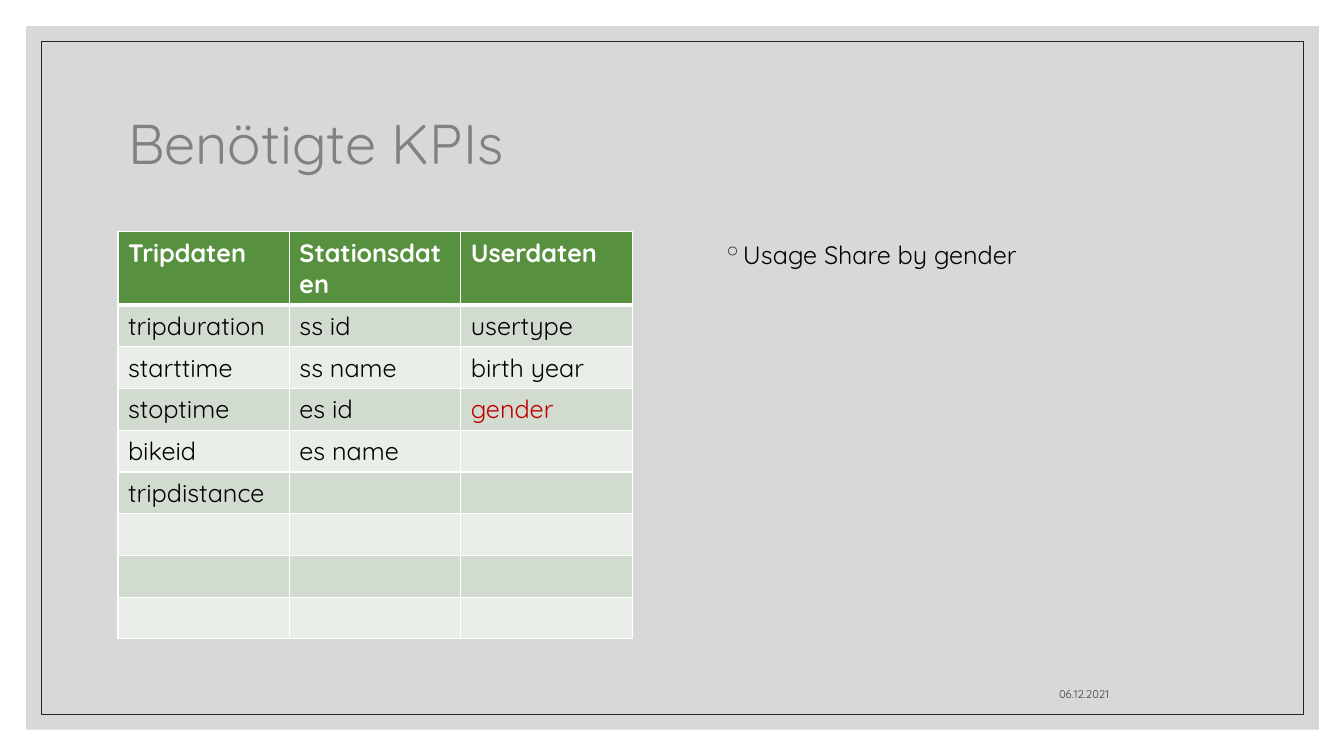
from lxml.etree import SubElement
from pptx import Presentation
from pptx.dml.color import RGBColor
from pptx.enum.shapes import MSO_SHAPE
from pptx.enum.text import MSO_ANCHOR, MSO_AUTO_SIZE, PP_ALIGN
from pptx.oxml.ns import qn
from pptx.util import Inches, Pt

FONT = "Quicksand"
WHITE = RGBColor(0xFF, 0xFF, 0xFF)
BLACK = RGBColor(0, 0, 0)
GREY = RGBColor(0xBF, 0xBF, 0xBF)
DARK = RGBColor(0x26, 0x26, 0x26)
DATE_GREY = RGBColor(0x40, 0x40, 0x40)
GREEN = RGBColor(0x57, 0x90, 0x3F)
BAND_DARK = RGBColor(0xD1, 0xDB, 0xCF)
BAND_LIGHT = RGBColor(0xEA, 0xEE, 0xE8)
RED = RGBColor(0xC0, 0, 0)

DATA_FIELDS = [
    ("Tripdaten", "Stationsdaten", "Userdaten"),
    ("tripduration", "ss id", "usertype"),
    ("starttime", "ss name", "birth year"),
    ("stoptime", "es id", "gender"),
    ("bikeid", "es name", ""),
    ("tripdistance", "", ""),
    ("", "", ""),
    ("", "", ""),
    ("", "", ""),
]
HIGHLIGHTED = "gender"


def style(paragraph, size, color, bold=False):
    """Set the font of a paragraph."""
    font = paragraph.font
    font.name, font.size, font.bold = FONT, Pt(size), bold
    font.color.rgb = color


def add_backdrop(slide, left, top, width, height):
    """Draw the translucent grey panel and the thin frame inside it."""
    inset = 0.15
    panel = slide.shapes.add_shape(
        MSO_SHAPE.RECTANGLE, Inches(left), Inches(top), Inches(width), Inches(height))
    panel.shadow.inherit = False
    panel.fill.solid()
    panel.fill.fore_color.rgb = GREY
    color = panel.fill._xPr.find(qn("a:solidFill"))[0]
    SubElement(color, qn("a:alpha"), val="60000")
    panel.line.fill.background()

    frame = slide.shapes.add_shape(
        MSO_SHAPE.RECTANGLE, Inches(left + inset), Inches(top + inset),
        Inches(width - 2 * inset), Inches(height - 2 * inset))
    frame.shadow.inherit = False
    frame.fill.background()
    frame.line.color.rgb = DARK
    frame.line.width = Pt(0.5)


def add_title(slide, text, left, top, width, height):
    """Place and format the title placeholder."""
    title = slide.shapes.title
    title.left, title.top = Inches(left), Inches(top)
    title.width, title.height = Inches(width), Inches(height)
    title.text_frame.text = text
    title.text_frame.word_wrap = True
    title.text_frame.auto_size = MSO_AUTO_SIZE.NONE
    title.text_frame.vertical_anchor = MSO_ANCHOR.MIDDLE
    heading = title.text_frame.paragraphs[0]
    heading.alignment = PP_ALIGN.LEFT
    heading.line_spacing = 0.9
    style(heading, 40, DARK)


def add_cell_borders(cell, bottom_width):
    """Give a cell white borders, with its own width at the bottom."""
    properties = cell._tc.get_or_add_tcPr()
    for side, width in (("L", 1), ("R", 1), ("T", 1), ("B", bottom_width)):
        line = SubElement(properties, qn(f"a:ln{side}"), w=str(Pt(width)))
        fill = SubElement(line, qn("a:solidFill"))
        SubElement(fill, qn("a:srgbClr"), val=str(WHITE))


def add_data_table(slide, left, top, width, header_height, row_height):
    """Add the banded table of available data fields."""
    row_count, column_count = len(DATA_FIELDS), len(DATA_FIELDS[0])
    height = header_height + row_height * (row_count - 1)
    table = slide.shapes.add_table(
        row_count, column_count, Inches(left), Inches(top),
        Inches(width), Inches(height)).table
    for row_index, fields in enumerate(DATA_FIELDS):
        is_header = row_index == 0
        band = BAND_DARK if row_index % 2 else BAND_LIGHT
        table.rows[row_index].height = Inches(header_height if is_header else row_height)
        for column_index, field in enumerate(fields):
            cell = table.cell(row_index, column_index)
            add_cell_borders(cell, 3 if is_header else 1)
            cell.fill.solid()
            cell.fill.fore_color.rgb = GREEN if is_header else band
            cell.text = field
            body_color = RED if field == HIGHLIGHTED else BLACK
            style(cell.text_frame.paragraphs[0], 18,
                  WHITE if is_header else body_color, is_header)


def add_text(slide, text, size, color, left, top, width, height):
    """Add a wrapping text box and return its text frame."""
    frame = slide.shapes.add_textbox(
        Inches(left), Inches(top), Inches(width), Inches(height)).text_frame
    frame.word_wrap = True
    frame.text = text
    style(frame.paragraphs[0], size, color)
    return frame


def add_kpi_list(slide, left, top, width, height):
    """Add the bulleted KPI."""
    frame = add_text(slide, "Usage Share by gender", 18, BLACK, left, top, width, height)
    kpi = frame.paragraphs[0]
    kpi.line_spacing = 1.1
    kpi.space_before = Pt(9)
    properties = kpi._p.get_or_add_pPr()
    properties.set("marL", str(Inches(0.2)))
    properties.set("indent", str(-Inches(0.2)))
    bullet_color = properties.makeelement(qn("a:buClr"))
    SubElement(bullet_color, qn("a:srgbClr"), val=str(DARK))
    bullet = properties.makeelement(qn("a:buChar"), char="◦")
    default_font = properties.find(qn("a:defRPr"))
    default_font.addprevious(bullet_color)
    default_font.addprevious(bullet)


def add_date(slide, left, top, width, height):
    """Add the right-aligned date at the foot."""
    frame = add_text(slide, "06.12.2021", 8, DATE_GREY, left, top, width, height)
    frame.vertical_anchor = MSO_ANCHOR.BOTTOM
    frame.paragraphs[0].alignment = PP_ALIGN.RIGHT


def main():
    """Build the KPI slide and save it."""
    presentation = Presentation()
    presentation.slide_width = Inches(13.33)
    presentation.slide_height = Inches(7.5)
    slide = presentation.slides.add_slide(presentation.slide_layouts[5])
    add_backdrop(slide, 0.26, 0.26, 12.82, 6.98)
    add_title(slide, "Benötigte KPIs", 1.17, 0.7, 11, 1.5)
    add_data_table(slide, 1.17, 2.3, 5.1, 0.72, 0.41)
    add_kpi_list(slide, 7.07, 2.3, 5.1, 4.1)
    add_date(slide, 7.94, 6.6, 3.16, 0.4)
    presentation.save("out.pptx")


if __name__ == "__main__":
    main()
